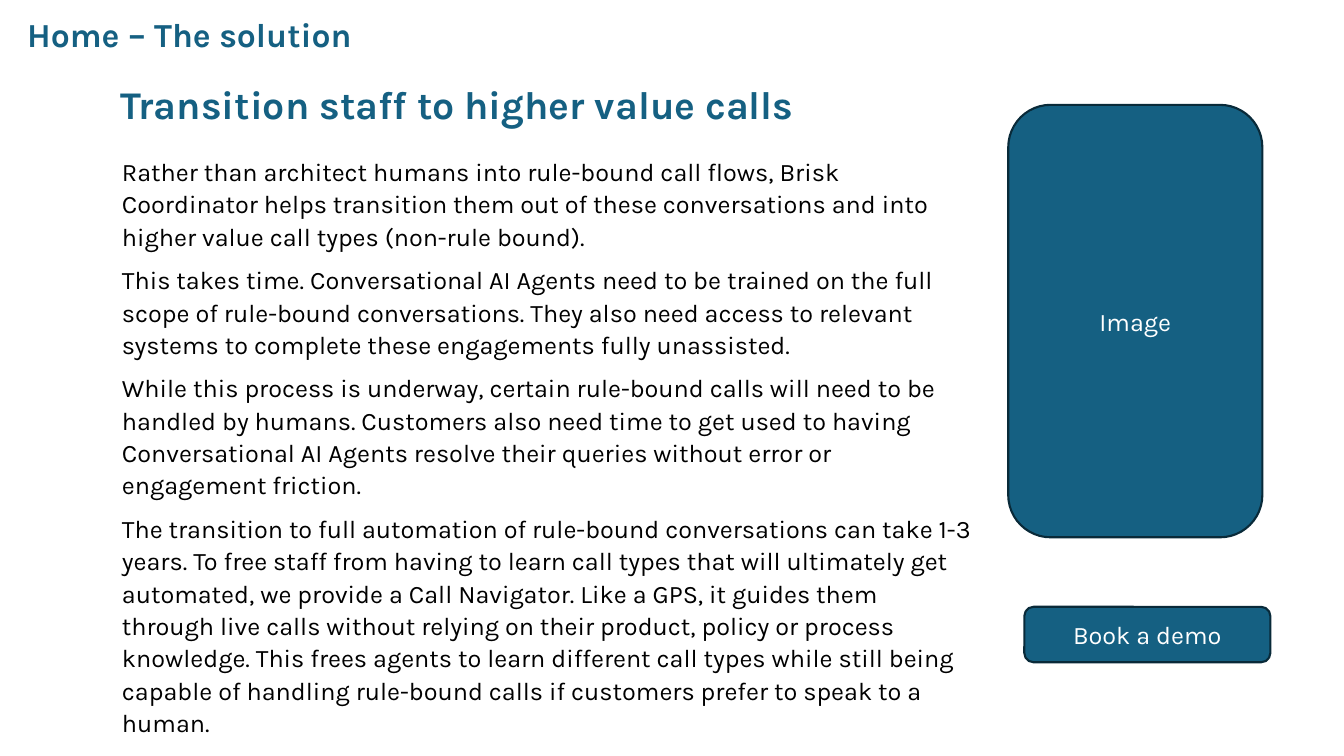
import dataclasses

import pptx
import pptx.dml.color
import pptx.enum.shapes
import pptx.enum.text
import pptx.oxml
import pptx.oxml.ns
import pptx.util

PX = 9144  # EMU per px, 100 px to the inch
ALIGN = pptx.enum.text.PP_ALIGN
ANCHOR = pptx.enum.text.MSO_ANCHOR


@dataclasses.dataclass(frozen=True)
class Theme:
    font: str = "Karla"
    blue: str = "156082"
    edge: str = "092A39"
    black: str = "000000"
    white: str = "FFFFFF"
    title: int = 28
    head: int = 24
    body: int = 18


def tint(code):
    return pptx.dml.color.RGBColor.from_string(code)


class Page:
    def __init__(self, deck, theme):
        self.theme = theme
        self.slide = deck.slides.add_slide(deck.slide_layouts[1])

    def place(self, shape, box):
        shape.left, shape.top, shape.width, shape.height = [n * PX for n in box]

    def frame(self, shape, anchor=ANCHOR.TOP):
        frame = shape.text_frame
        frame.word_wrap = True
        frame.auto_size = pptx.enum.text.MSO_AUTO_SIZE.NONE
        frame.vertical_anchor = anchor
        return frame

    def label(self, para, text, size, color, bold=False, align=ALIGN.LEFT):
        para.alignment = align
        run = para.add_run()
        run.text = text
        font = run.font
        font.name = self.theme.font
        font.size = pptx.util.Pt(size)
        font.bold = bold
        font.color.rgb = tint(color)

    def head(self, text, box):
        shape = self.slide.shapes.add_textbox(*[n * PX for n in box])
        para = self.frame(shape).paragraphs[0]
        self.label(para, text, self.theme.head, self.theme.blue, True)

    def title(self, text, box):
        shape = self.slide.shapes.title
        self.place(shape, box)
        para = self.frame(shape).paragraphs[0]
        self.label(para, text, self.theme.title, self.theme.blue, True)

    def body(self, texts, box):
        """Fill the body placeholder with plain, unbulleted paragraphs."""
        shape = self.slide.placeholders[1]
        self.place(shape, box)
        frame = self.frame(shape)
        for i, text in enumerate(texts):
            para = frame.add_paragraph() if i else frame.paragraphs[0]
            para.line_spacing = 1.07
            para.space_before = pptx.util.Pt(0)
            para.space_after = pptx.util.Pt(8)
            props = para._p.get_or_add_pPr()
            props.set("marL", "0")
            props.set("indent", "0")
            props.append(pptx.oxml.parse_xml(
                "<a:buNone %s/>" % pptx.oxml.ns.nsdecls("a")))
            self.label(para, text, self.theme.body, self.theme.black)

    def panel(self, text, box):
        """Add a rounded blue box with a centred label."""
        kind = pptx.enum.shapes.MSO_SHAPE.ROUNDED_RECTANGLE
        shape = self.slide.shapes.add_shape(kind, *[n * PX for n in box])
        shape.shadow.inherit = False
        shape.fill.solid()
        shape.fill.fore_color.rgb = tint(self.theme.blue)
        shape.line.color.rgb = tint(self.theme.edge)
        shape.line.width = pptx.util.Pt(1.5)
        para = self.frame(shape, ANCHOR.MIDDLE).paragraphs[0]
        self.label(para, text, self.theme.body, self.theme.white,
                   align=ALIGN.CENTER)


STORY = [
    "Rather than architect humans into rule-bound call flows, Brisk "
    "Coordinator helps transition them out of these conversations and into "
    "higher value call types (non-rule bound).",
    "This takes time. Conversational AI Agents need to be trained on the full "
    "scope of rule-bound conversations. They also need access to relevant "
    "systems to complete these engagements fully unassisted.",
    "While this process is underway, certain rule-bound calls will need to be "
    "handled by humans. Customers also need time to get used to having "
    "Conversational AI Agents resolve their queries without error or "
    "engagement friction.",
    "The transition to full automation of rule-bound conversations can take "
    "1-3 years. To free staff from having to learn call types that will "
    "ultimately get automated, we provide a Call Navigator. Like a GPS, it "
    "guides them through live calls without relying on their product, policy "
    "or process knowledge. This frees agents to learn different call types "
    "while still being capable of handling rule-bound calls if customers "
    "prefer to speak to a human.",
]


def main():
    deck = pptx.Presentation()
    deck.slide_width = 1333 * PX
    deck.slide_height = 750 * PX
    page = Page(deck, Theme())
    page.head("Home – The solution", (17, 9, 605, 50))
    page.body(STORY, (111, 148, 864, 561))
    page.title("Transition staff to higher value calls", (110, 75, 1055, 57))
    page.panel("Book a demo", (1016, 602, 244, 55))
    page.panel("Image", (1000, 104, 252, 429))
    deck.save("out.pptx")


if __name__ == "__main__":
    main()
